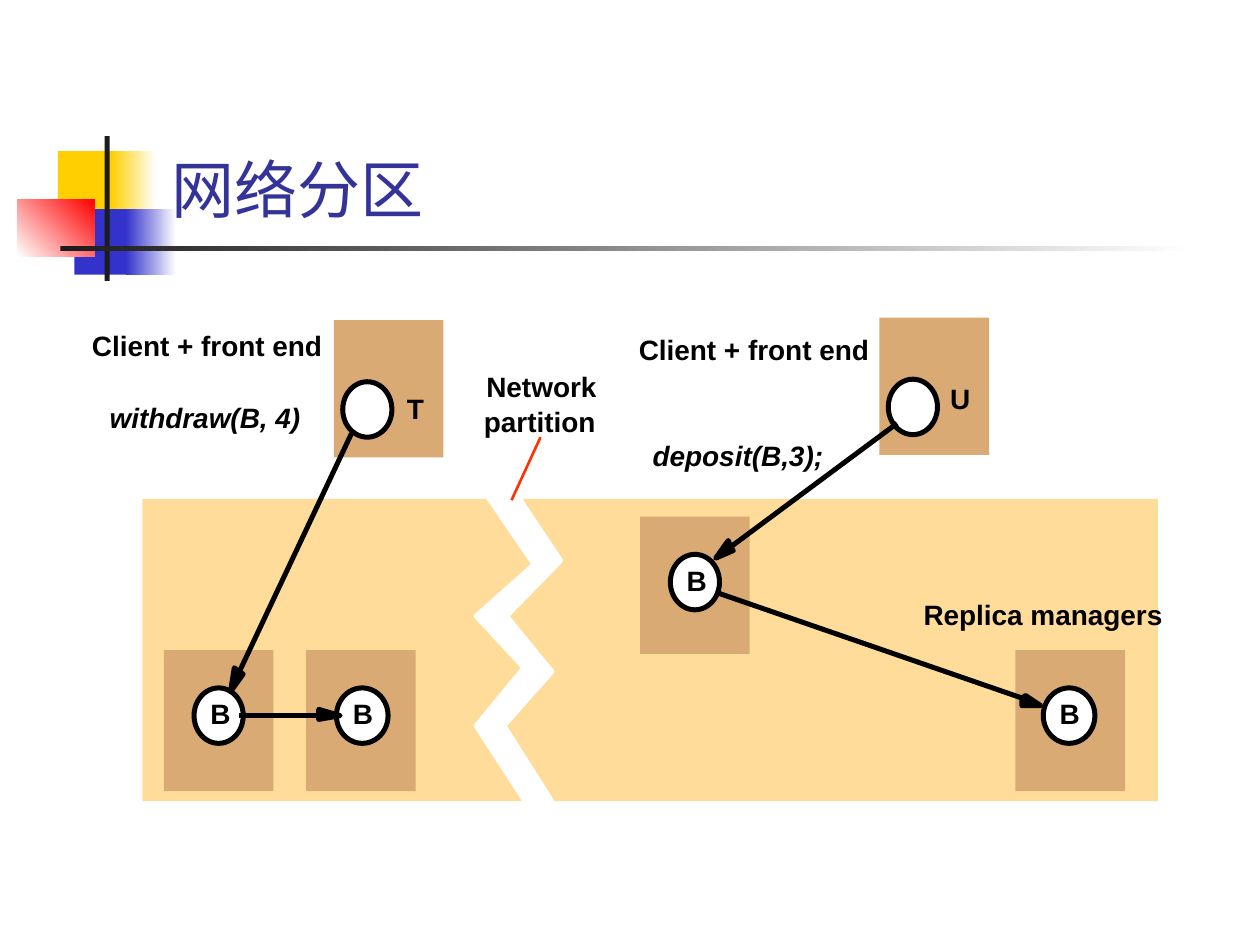
import pptx
import pptx.util
import pptx.dml.color
import pptx.enum.shapes
import pptx.enum.text
import pptx.oxml

Inches = pptx.util.Inches
SHAPES = pptx.enum.shapes.MSO_SHAPE
BLACK, WHITE = "000000", "FFFFFF"
STROKE = 2.86
MACHINE_WIDTH = 0.87


def rgb(hex_code):
    """Turn a hex string into a colour."""
    return pptx.dml.color.RGBColor.from_string(hex_code)


def paint(part, fill, outline=None):
    """Give a shape a plain fill and an optional outline."""
    part.shadow.inherit = False
    part.fill.solid()
    part.fill.fore_color.rgb = rgb(fill)
    if outline:
        part.line.color.rgb = rgb(outline)
        part.line.width = pptx.util.Pt(STROKE)
    else:
        part.line.fill.background()


def add_block(slide, box, fill, kind=SHAPES.RECTANGLE, outline=None):
    """Add a filled preset shape."""
    block = slide.shapes.add_shape(kind, *map(Inches, box))
    paint(block, fill, outline)
    return block


def add_fade(slide, box, start, end, angle=0):
    """Add a rectangle that fades from one colour to another."""
    fade = add_block(slide, box, start)
    fade.fill.gradient()
    fade.fill.gradient_angle = angle
    for stop, hex_code in zip(fade.fill.gradient_stops, (start, end)):
        stop.color.rgb = rgb(hex_code)


def add_process(slide, left, top, width=0.39):
    """Add a white circle with a heavy black outline."""
    add_block(slide, (left, top, width, 0.44), WHITE, SHAPES.OVAL, BLACK)


def add_run(frame, words, size, font, color):
    """Add a run to the first paragraph and return its font."""
    run = frame.paragraphs[0].add_run()
    run.text = words
    run.font.size = pptx.util.Pt(size)
    run.font.name = font
    run.font.color.rgb = rgb(color)
    return run.font


def add_label(slide, words, left, top, width, italic=False):
    """Add a bold label without margins."""
    frame = slide.shapes.add_textbox(*map(Inches, (left, top, width, 0.27))).text_frame
    frame.margin_left = frame.margin_right = 0
    frame.margin_top = frame.margin_bottom = 0
    frame.word_wrap = False
    font = add_run(frame, words, 16, "Arial", BLACK)
    font.bold = True
    font.italic = italic


def add_outline(slide, points, color):
    """Add a closed polygon in one colour."""
    corners = [(Inches(x), Inches(y)) for x, y in points]
    builder = slide.shapes.build_freeform(*corners[0])
    builder.add_line_segments(corners[1:], close=True)
    paint(builder.convert_to_shape(), color, color)


def add_line(slide, start, end, color=BLACK, weight=STROKE):
    """Add a straight line."""
    line = slide.shapes.add_connector(
        pptx.enum.shapes.MSO_CONNECTOR.STRAIGHT, *map(Inches, start + end))
    line.line.color.rgb = rgb(color)
    line.line.width = pptx.util.Pt(weight)
    line._element.spPr.append(pptx.oxml.parse_xml(
        '<a:effectLst xmlns:a="http://schemas.openxmlformats.org/drawingml/2006/main"/>'))


def add_message(slide, start, head):
    """Add a line that ends at the first point of a drawn arrowhead."""
    add_outline(slide, head, BLACK)
    add_line(slide, start, head[0])


def add_heading(slide):
    """Add the decorated title."""
    add_block(slide, (0.46, 1.2, 0.48, 0.52), "FFCF01")
    add_fade(slide, (0.88, 1.2, 0.36, 0.52), "FFCF01", WHITE)
    add_block(slide, (0.59, 1.66, 0.46, 0.52), "3333CC")
    add_fade(slide, (1, 1.66, 0.4, 0.52), "3333CC", WHITE)
    add_fade(slide, (0.14, 1.58, 0.61, 0.46), WHITE, "FF0000", 45)
    add_block(slide, (0.83, 1.08, 0.04, 1.15), "1C1C1C")
    add_fade(slide, (0.48, 1.95, 9, 0.04), "1C1C1C", WHITE)
    title = slide.shapes.add_textbox(*map(Inches, (1.26, 0.24, 8.52, 1.6))).text_frame
    title.word_wrap = True
    title.vertical_anchor = pptx.enum.text.MSO_ANCHOR.BOTTOM
    add_run(title, "网络分区", 36, "Cabin", "333399")


def add_machines(slide):
    """Add the replica area, the computers and their processes."""
    add_block(slide, (1.13, 3.96, 8.06, 2.4), "FFDC99")
    for left, top, height in ((2.65, 2.54, 1.09), (6.98, 2.52, 1.09), (5.08, 4.1, 1.09),
                              (1.3, 5.16, 1.12), (2.43, 5.16, 1.12), (8.06, 5.16, 1.12)):
        add_block(slide, (left, top, MACHINE_WIDTH, height), "D9AA73")
    for left, top in ((2.72, 3.03), (7.05, 3.01)):
        add_process(slide, left, top)
    for left, top, width in ((5.32, 4.4, 0.39), (1.54, 5.46, 0.39),
                             (2.67, 5.46, 0.41), (8.28, 5.46, 0.41)):
        add_process(slide, left, top, width)
        add_label(slide, "B", left + 0.13, top + 0.07, 0.16)


def add_labels(slide):
    """Add the names of clients, operations and areas."""
    for left, top in ((0.73, 2.61), (5.07, 2.64)):
        add_label(slide, "Client + front end", left, top, 1.83)
    add_label(slide, "T", 3.23, 3.11, 0.14)
    add_label(slide, "U", 7.54, 3.03, 0.16)
    add_label(slide, "withdraw(B, 4)", 0.87, 3.18, 1.52, italic=True)
    add_label(slide, "deposit(B,3);", 5.18, 3.48, 1.36, italic=True)
    add_label(slide, "Replica managers", 7.33, 4.74, 1.9)
    add_label(slide, "Network", 3.86, 2.93, 0.88)
    add_label(slide, "partition", 3.84, 3.21, 0.89)


def add_messages(slide):
    """Add the arrows between processes."""
    add_message(slide, (2.79, 3.44),
                ((1.9, 5.33), (1.93, 5.35), (1.83, 5.49), (1.86, 5.3)))
    add_message(slide, (1.9, 5.68),
                ((2.53, 5.68), (2.53, 5.63), (2.7, 5.68), (2.53, 5.71)))
    add_message(slide, (7.12, 3.36),
                ((5.8, 4.34), (5.82, 4.37), (5.68, 4.43), (5.78, 4.29)))
    add_message(slide, (5.68, 4.7),
                ((8.11, 5.54), (8.14, 5.52), (8.26, 5.6), (8.11, 5.6)))


def add_partition(slide):
    """Add the jagged gap and its pointer."""
    left_edge = ((3.85, 3.91), (4.24, 4.48), (3.78, 4.89),
                 (4.16, 5.3), (3.78, 5.76), (4.24, 6.47))
    right_edge = ((4.43, 6.44), (4, 5.76), (4.38, 5.33),
                  (4.02, 4.89), (4.45, 4.45), (4.07, 3.88))
    add_outline(slide, left_edge + right_edge, WHITE)
    add_line(slide, (4.29, 3.47), (4.06, 3.97), "FF3300", 1.5)


def main():
    """Build the slide and save it."""
    deck = pptx.Presentation()
    deck.slide_width, deck.slide_height = Inches(10), Inches(7.5)
    slide = deck.slides.add_slide(deck.slide_layouts[6])
    add_heading(slide)
    add_machines(slide)
    add_labels(slide)
    add_messages(slide)
    add_partition(slide)
    deck.save("out.pptx")


if __name__ == "__main__":
    main()
